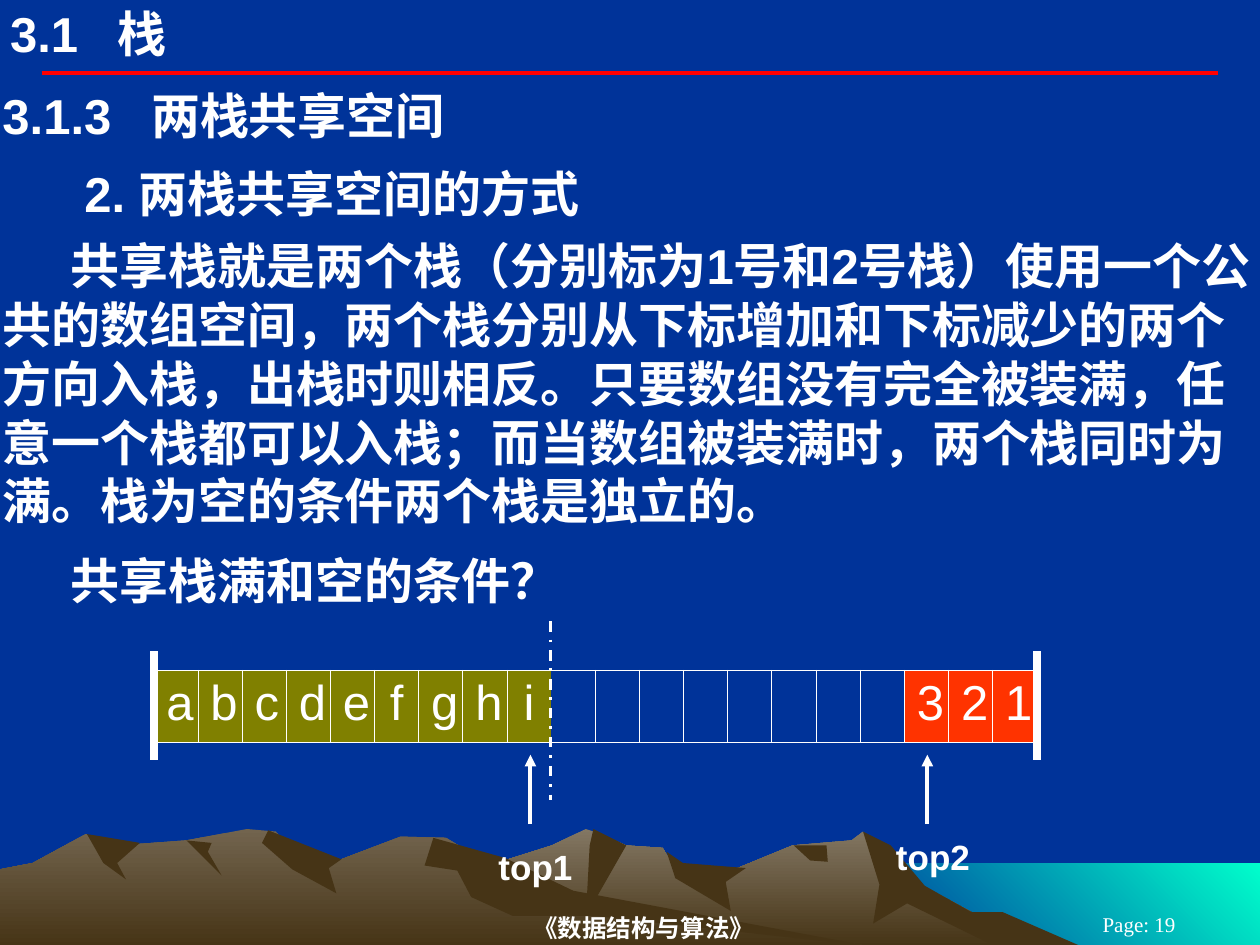
from dataclasses import dataclass
from typing import Optional

from lxml import etree
from pptx import Presentation
from pptx import util as u
from pptx.dml.color import RGBColor
from pptx.enum import dml, shapes, text
from pptx.oxml import ns

COLORS = {
    "background": "003399", "white": "FFFFFF", "rule": "FF0000", "sea": "00FFCC",
    "peak": "837763", "hill": "72644E", "earth": "463416",
    "stack1": "808000", "stack2": "FF3300",
}
HUNDREDTH_INCH = 9144.0
CELL_COUNT = 20
STACK1, STACK2 = "abcdefghi", "321"
TABLE_LEFT, TABLE_TOP, TABLE_WIDTH, TABLE_HEIGHT = 1.22, 5.32, 7.01, 0.57


@dataclass
class Landform:
    points: list[tuple[int, int]]
    start: str = "earth"
    end: Optional[str] = None


@dataclass
class Line:
    begin: tuple[float, float]
    end: tuple[float, float]
    width: float
    color: str = "white"
    dash: Optional[dml.MSO_LINE] = None
    arrow: bool = False


LANDSCAPE = [
    Landform([(258, 751), (327, 709), (394, 685), (438, 671), (465, 658), (474, 661),
              (497, 671), (526, 673), (536, 690), (566, 697), (629, 671), (676, 667),
              (685, 660), (723, 698), (821, 751)], "peak", "earth"),
    Landform([(685, 660), (698, 702), (693, 733), (720, 717), (792, 752), (858, 751),
              (796, 724), (771, 724), (734, 703), (707, 671)]),
    Landform([(471, 658), (468, 671), (465, 727), (497, 671)]),
    Landform([(529, 676), (536, 697), (580, 723), (576, 700), (592, 689), (542, 685)]),
    Landform([(630, 671), (643, 683), (657, 684), (656, 671)]),
    Landform([(0, 751), (0, 690), (26, 685), (68, 662), (94, 671), (148, 667), (196, 658),
              (219, 660), (236, 681), (271, 682), (318, 664), (354, 665), (432, 712),
              (690, 751)], "hill", "earth"),
    Landform([(213, 659), (208, 669), (232, 690), (267, 709), (261, 689), (271, 682)]),
    Landform([(344, 665), (337, 687), (363, 691), (374, 712), (407, 727), (472, 727),
              (690, 751), (455, 707), (401, 681)]),
    Landform([(148, 667), (176, 695), (165, 676), (168, 669)]),
    Landform([(69, 662), (82, 685), (100, 698), (93, 685), (111, 669)]),
]

LINES = [
    Line((0.33, 0.58), (9.67, 0.58), 2.25, "rule"),
    Line((4.37, 4.93), (4.37, 6.35), 1.5, dash=dml.MSO_LINE.DASH_DOT),
    *[Line((x, 6.54), (x, 5.99), 2.25, arrow=True) for x in (4.21, 7.36)],
    *[Line((x, 5.17), (x, 6.03), 4.5) for x in (TABLE_LEFT, TABLE_LEFT + TABLE_WIDTH)],
]

BODY = (
    "共享栈就是两个栈（分别标为1号和2号栈）使用一个公共的数组空间，"
    "两个栈分别从下标增加和下标减少的两个方向入栈，出栈时则相反。"
    "只要数组没有完全被装满，任意一个栈都可以入栈；"
    "而当数组被装满时，两个栈同时为满。栈为空的条件两个栈是独立的。"
)


def rgb(name: str) -> RGBColor:
    return RGBColor.from_string(COLORS[name])


def write_text(frame, content: str, *, size=28, font="Arial", bold=True, align=None,
               indent=0.0, tab=None, margins=(0.02, 0.01), anchor=text.MSO_ANCHOR.TOP) -> None:
    frame.word_wrap = True
    frame.auto_size = text.MSO_AUTO_SIZE.NONE
    frame.vertical_anchor = anchor
    frame.margin_left = frame.margin_right = u.Inches(margins[0])
    frame.margin_top = frame.margin_bottom = u.Inches(margins[1])
    paragraph = frame.paragraphs[0]
    paragraph.alignment = align or text.PP_ALIGN.LEFT
    properties = paragraph._p.get_or_add_pPr()
    if indent:
        properties.set("marL", "0")
        properties.set("indent", str(u.Inches(indent)))
    if tab:
        stops = etree.SubElement(properties, ns.qn("a:tabLst"))
        etree.SubElement(stops, ns.qn("a:tab"), pos=str(u.Inches(tab)), algn="l")
    run = paragraph.add_run()
    run.text = content
    run.font.size = u.Pt(size)
    run.font.name = font
    run.font.bold = bold
    run.font.color.rgb = rgb("white")


def add_text(slide, content: str, left, top, width, height, **text_format) -> None:
    box = slide.shapes.add_textbox(*map(u.Inches, (left, top, width, height)))
    write_text(box.text_frame, content, **text_format)


def paint(shape, start: str, end: Optional[str] = None, angle: int = 270) -> None:
    shape.shadow.inherit = False
    shape.line.fill.background()
    if end:
        shape.fill.gradient()
        shape.fill.gradient_angle = angle
        for stop, color in zip(shape.fill.gradient_stops, (start, end)):
            stop.color.rgb = rgb(color)
    else:
        shape.fill.solid()
        shape.fill.fore_color.rgb = rgb(start)


def add_landform(slide, landform: Landform) -> None:
    first, *rest = landform.points
    builder = slide.shapes.build_freeform(*first, scale=HUNDREDTH_INCH)
    builder.add_line_segments(rest, close=True)
    paint(builder.convert_to_shape(), landform.start, landform.end)


def add_line(slide, line: Line) -> None:
    connector = slide.shapes.add_connector(
        shapes.MSO_CONNECTOR.STRAIGHT, *map(u.Inches, (*line.begin, *line.end)))
    connector.line.width = u.Pt(line.width)
    connector.line.color.rgb = rgb(line.color)
    if line.dash:
        connector.line.dash_style = line.dash
    if line.arrow:
        etree.SubElement(connector.line._get_or_add_ln(), ns.qn("a:tailEnd"), type="triangle")
    etree.SubElement(connector._element.spPr, ns.qn("a:effectLst"))


def set_borders(cell, hidden: str) -> None:
    properties = cell._tc.get_or_add_tcPr()
    for side in ("L", "R", "T", "B"):
        border = etree.SubElement(properties, ns.qn(f"a:ln{side}"), w=str(u.Pt(0.45)))
        if side == hidden:
            etree.SubElement(border, ns.qn("a:noFill"))
        else:
            fill = etree.SubElement(border, ns.qn("a:solidFill"))
            etree.SubElement(fill, ns.qn("a:srgbClr"), val=COLORS["white"])


def add_shared_array(slide) -> None:
    table = slide.shapes.add_table(1, CELL_COUNT, *map(
        u.Inches, (TABLE_LEFT, TABLE_TOP, TABLE_WIDTH, TABLE_HEIGHT))).table
    table.first_row = table.horz_banding = False
    letters = STACK1 + STACK2.rjust(CELL_COUNT - len(STACK1))
    hidden_sides = {len(STACK1) - 1: "R", len(STACK1): "L"}
    for index, letter in enumerate(letters):
        table.columns[index].width = u.Inches(TABLE_WIDTH / CELL_COUNT)
        cell = table.cell(0, index)
        set_borders(cell, hidden_sides.get(index, ""))
        if letter == " ":
            cell.fill.background()
            continue
        cell.fill.solid()
        cell.fill.fore_color.rgb = rgb("stack1" if letter in STACK1 else "stack2")
        paragraph = cell.text_frame.paragraphs[0]
        paragraph.alignment = text.PP_ALIGN.CENTER
        run = paragraph.add_run()
        run.text = letter
        run.font.size = u.Pt(28)
        run.font.name = "Arial"
        run.font.color.rgb = rgb("white")


def main() -> None:
    presentation = Presentation()
    presentation.slide_width, presentation.slide_height = u.Inches(10), u.Inches(7.5)
    slide = presentation.slides.add_slide(presentation.slide_layouts[5])
    slide.background.fill.solid()
    slide.background.fill.fore_color.rgb = rgb("background")

    title = slide.shapes.title
    title.left, title.top, title.width, title.height = map(u.Inches, (0.08, 0.03, 6.5, 0.47))
    write_text(title.text_frame, "3.1\t栈", tab=0.85, margins=(0, 0))

    sea = slide.shapes.add_shape(
        shapes.MSO_SHAPE.RECTANGLE, *map(u.Inches, (6.83, 6.85, 3.17, 0.67)))
    paint(sea, "sea", "background", 225)
    for landform in LANDSCAPE:
        add_landform(slide, landform)
    add_text(slide, "3.1.3\t两栈共享空间", 0, 0.67, 10, 0.49, tab=1.18)
    add_text(slide, "2. 两栈共享空间的方式", 0, 1.29, 10, 0.49, indent=0.65)
    add_text(slide, BODY, 0, 1.86, 10, 2.36, indent=0.54)
    add_text(slide, "共享栈满和空的条件？", 0, 4.36, 10, 0.49, indent=0.54)
    add_shared_array(slide)
    for line in LINES:
        add_line(slide, line)

    center, middle = text.PP_ALIGN.CENTER, text.MSO_ANCHOR.MIDDLE
    add_text(slide, "top1", 3.66, 6.7, 1.18, 0.36, size=20, align=center)
    add_text(slide, "top2", 6.97, 6.62, 0.87, 0.36, size=20, align=center)
    add_text(slide, "《数据结构与算法》", 2.08, 7.22, 6.06, 0.28, size=14,
             font="Times New Roman", align=center, anchor=middle, margins=(0, 0.01))
    add_text(slide, "Page: 19", 8.25, 7.25, 1.58, 0.17, size=12, bold=False,
             font="Times New Roman", align=center, anchor=middle, margins=(0.1, 0.05))
    presentation.save("out.pptx")


if __name__ == "__main__":
    main()
